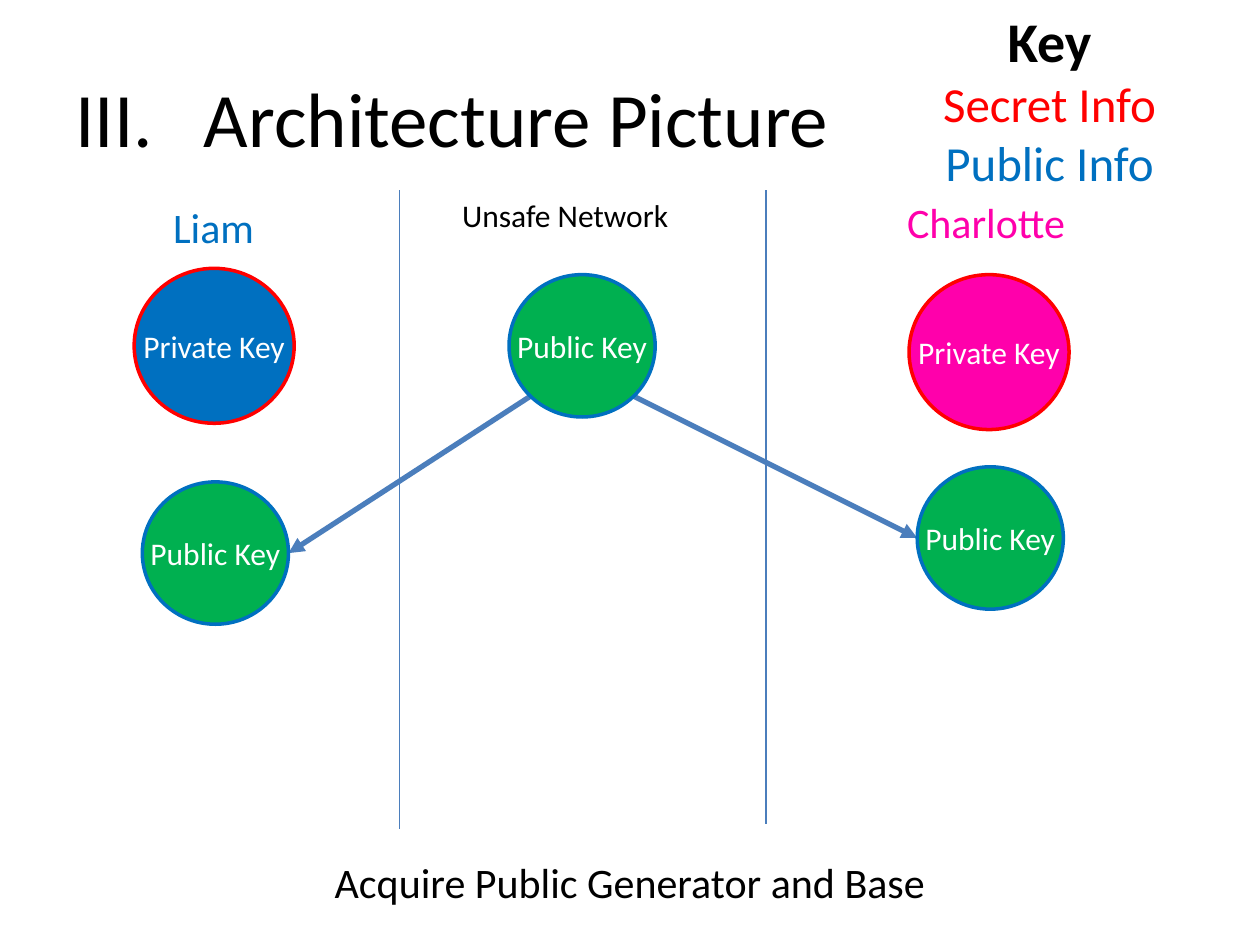
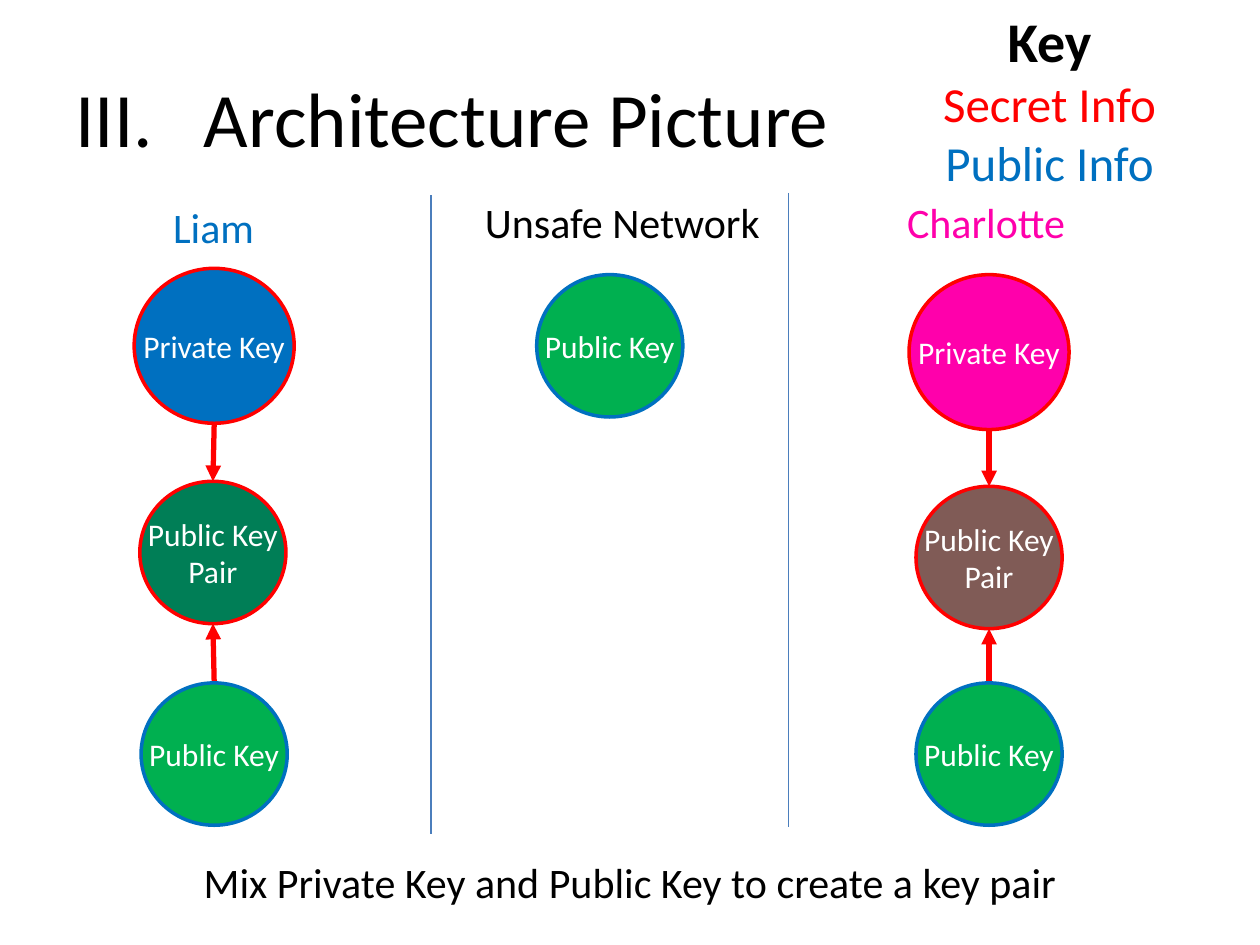
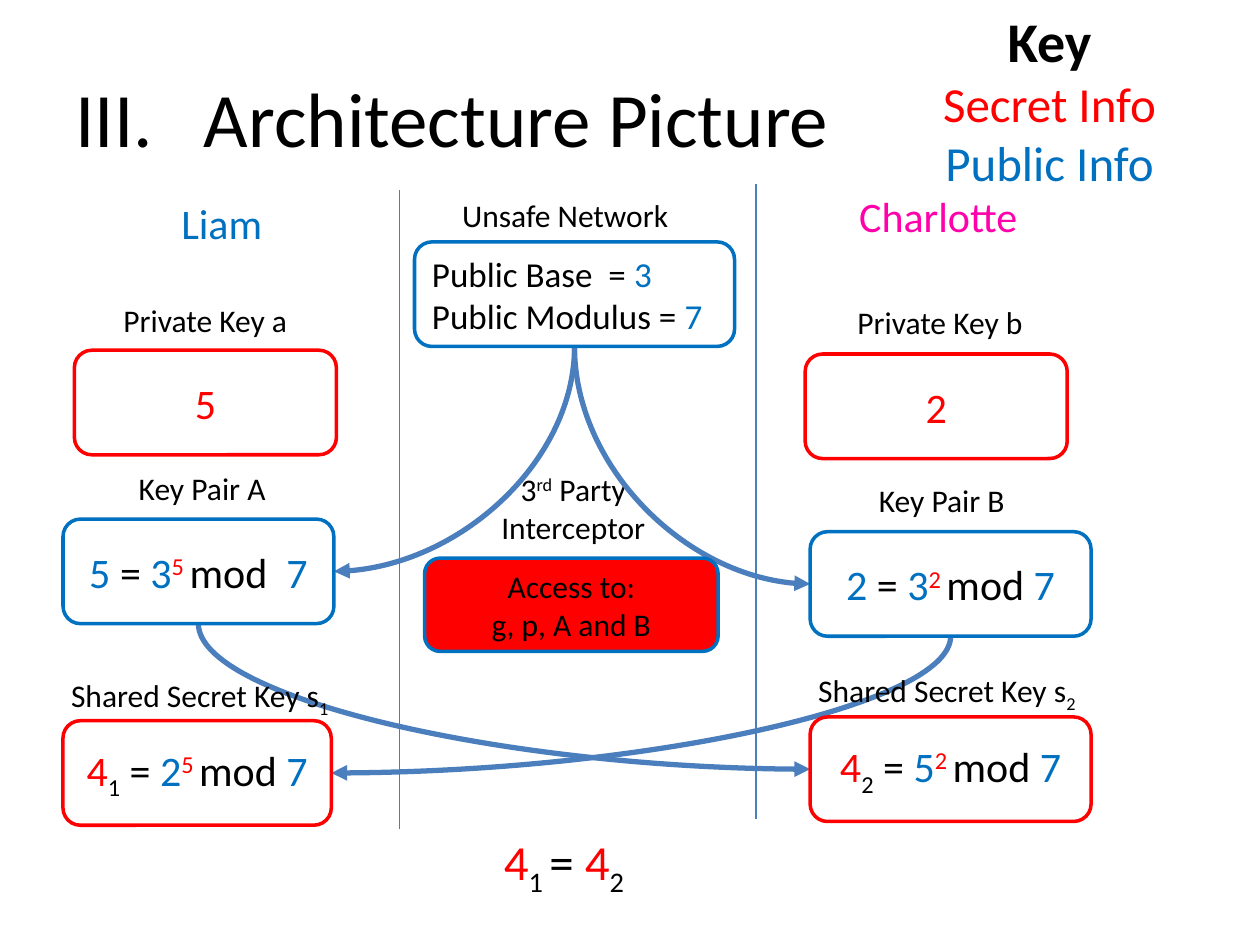
from pptx import Presentation
from pptx.util import Inches, Pt
from pptx.dml.color import RGBColor
from pptx.enum.shapes import MSO_SHAPE as SHAPE, MSO_CONNECTOR as CONN
from pptx.enum.text import PP_ALIGN as ALIGN, MSO_ANCHOR as ANCHOR, MSO_AUTO_SIZE as FIT
from pptx.oxml.ns import qn
from lxml.etree import SubElement

# ---- Shared style ----
W, H = 10, 7.5
FONT = "Calibri"
C = dict(black="000000", white="FFFFFF", red="FF0000", blue="0070C0", pink="FF00AB",
         green="00B050", teal="007E56", brown="805B56", line="4B7EBC")
TITLE = "III.\tArchitecture Picture"
LEGEND = [("Key", 32, "black", True), ("Secret Info", 28, "red", False),
          ("Public Info", 28, "blue", False)]
SUP, SUB = 30, -25
BIG, SMALL = (1.27, 1.23), (1.16, 1.13)      # circle sizes
LIAM, CHARLOTTE = 1.7, 7.85                  # centres of the outer columns
ROW = 2.745                                  # centre of the top row of circles

# Points on a shape, as shares of its width and height
TOP, BOTTOM, LEFT, RIGHT = (.5, 0), (.5, 1), (0, .5), (1, .5)
LOW_LEFT, LOW_RIGHT = (.146, .854), (.854, .854)

# ---- Content ----
# A paragraph is a string or a list of runs: (text, colour, baseline).
# labels: paragraph, left, top, width, height, size, colour, centred
NAMES = [("Liam", 1.07, 1.55, 1.25, .5, 24, "blue", True),
         ("Charlotte", 7.1, 1.51, 1.48, .5, 24, "pink", False)]
NETWORK = ("Unsafe Network", 3.57, 1.51, 1.96, .41, 18, "black", False)

# circles: name -> lines, centre x, centre y, size, fill, outline
PRIVATE = {
    "private L": (["Private Key"], LIAM, ROW, BIG, "blue", "red"),
    "private C": (["Private Key"], CHARLOTTE, ROW + .05, BIG, "pink", "red"),
}


def public(x, y):
    return ["Public Key"], x, y, SMALL, "green", "blue"


def pair(x, y, fill):
    return ["Public Key", "Pair"], x, y, SMALL, fill, "red"


def power(result, index, base, exponent, gap=" "):
    """Runs of: result = base^exponent mod 7."""
    start = ([(result, "red"), (index, "black", SUB), (" = ", "black")] if index
             else [(result + " ", "blue"), ("= ", "black")])
    return start + [(base, "blue"), (exponent + " ", "red", SUP),
                    ("mod" + gap, "black"), ("7", "blue")]


def shared(index):
    return [("Shared Secret Key s", "black"), (index, "black", SUB)]


ACQUIRE = dict(
    labels=NAMES + [NETWORK, ("Acquire Public Generator and Base",
                              2.5, 6.75, 5, .5, 24, "black", True)],
    dividers=[(3.17, 1.51, 6.58), (6.08, 1.51, 6.54)],
    circles=PRIVATE | {"public": public(4.62, ROW), "public L": public(LIAM + .01, 4.39),
                       "public C": public(CHARLOTTE + .01, 4.27)},
    links=[("public", LOW_RIGHT, "public C", LEFT, "line"),
           ("public", LOW_LEFT, "public L", RIGHT, "line")])

MIX = dict(
    labels=NAMES + [("Unsafe Network", 3.75, 1.51, 2.51, .5, 24, "black", False),
                    ("Mix Private Key and Public Key to create a key pair",
                     1.46, 6.75, 7.08, .5, 24, "black", True)],
    dividers=[(3.42, 1.55, 6.62), (6.26, 1.53, 6.56)],
    circles=PRIVATE | {"public": public(4.84, ROW),
                       "public L": public(LIAM, 5.985), "public C": public(CHARLOTTE, 5.985),
                       "pair L": pair(LIAM - .01, 4.385, "teal"),
                       "pair C": pair(CHARLOTTE, 4.425, "brown")},
    links=[link for side in "LC" for link in (
        (f"private {side}", BOTTOM, f"pair {side}", TOP, "red"),
        (f"public {side}", TOP, f"pair {side}", BOTTOM, "red"))])

# boxes: name -> paragraphs, left, top, width, height, size, fill, outline, centred
BOX_H = .83
EXAMPLE = dict(
    labels=[("Liam", 1.34, 1.52, .92, .5, 24, "blue", False),
            ("Charlotte", 6.72, 1.46, 1.59, .5, 24, "pink", False), NETWORK,
            ([("3", "black"), ("rd", "black", SUP), (" Party Interceptor", "black")],
             3.81, 3.68, 1.48, .71, 18, "black", True),
            ([("4", "red"), ("1 ", "black", SUB), ("= ", "black"), ("4", "red"),
              ("2", "black", SUB)], 3.9, 6.55, 1.39, .57, 28, "black", False)],
    dividers=[(3.17, 1.51, 6.58), (6, 1.46, 6.5)],
    boxes={
        "base": ([[("Public Base  = ", "black"), ("3", "blue")],
                  [("Public Modulus = ", "black"), ("7", "blue")]],
                 3.29, 1.92, 2.54, BOX_H, 20, "white", "blue", False),
        "spy": (["Access to:", "g, p, A and B"],
                3.37, 4.43, 2.33, .74, 18, "red", "blue", True),
        "a": ([[("5", "red")]], .59, 2.78, 2.08, BOX_H, 24, "white", "red", True),
        "b": ([[("2", "red")]], 6.39, 2.81, 2.08, BOX_H, 24, "white", "red", True),
        "A": ([power("5", "", "3", "5", "  ")], .5, 4.12, 2.15, BOX_H, 24, "white", "blue", True),
        "B": ([power("2", "", "3", "2")], 6.43, 4.22, 2.23, BOX_H, 24, "white", "blue", True),
        "s1": ([power("4", "1", "2", "5")], .5, 5.72, 2.13, BOX_H, 24, "white", "red", True),
        "s2": ([power("4", "2", "5", "2")], 6.43, 5.69, 2.23, BOX_H, 24, "white", "red", True),
    },
    # captions: box, paragraph, shift from the box's centre, rise above its top, width
    captions=[("a", "Private Key a", 0, .44, 1.5), ("b", "Private Key b", .03, .45, 1.58),
              ("A", "Key Pair A", .03, .45, 1.5), ("B", "Key Pair B", -.07, .45, 1.5),
              ("s1", shared("1"), .02, .4, 2.29), ("s2", shared("2"), -.03, .41, 2.29)],
    curves=[("base", "B", LEFT), ("base", "A", RIGHT), ("A", "s2", LEFT), ("B", "s1", RIGHT)])


# ---- Helpers ----
def rgb(name):
    return RGBColor.from_string(C[name])


def write(tf, paragraphs, size, colour="black", centred=False):
    for i, content in enumerate(paragraphs):
        p = tf.paragraphs[0] if i == 0 else tf.add_paragraph()
        p.alignment = ALIGN.CENTER if centred else ALIGN.LEFT
        p.font.name, p.font.size = FONT, Pt(size)
        if isinstance(content, str):
            content = [(content, colour)]
        for text, shade, *base in content:
            r = p.add_run()
            r.text = text
            r.font.color.rgb = rgb(shade)
            if base:
                r.font._element.set("baseline", str(base[0] * 1000))


def text_box(s, x, y, w, h):
    tf = s.shapes.add_textbox(*map(Inches, (x, y, w, h))).text_frame
    tf.word_wrap = True
    return tf


def add_label(s, content, x, y, w, h, size, colour, centred):
    tf = text_box(s, x, y, w, h)
    tf.auto_size = FIT.SHAPE_TO_FIT_TEXT
    write(tf, [content], size, colour, centred)


def add_node(s, kind, box, fill, outline):
    sp = s.shapes.add_shape(kind, *map(Inches, box))
    sp.shadow.inherit = False
    sp.fill.solid()
    sp.fill.fore_color.rgb = rgb(fill)
    sp.line.color.rgb, sp.line.width = rgb(outline), Pt(2)
    sp.text_frame.vertical_anchor = ANCHOR.MIDDLE
    return sp.text_frame


def add_line(s, start, end, colour="line", width=3, arrow=True, kind=CONN.STRAIGHT):
    c = s.shapes.add_connector(kind, *map(Inches, (*start, *end)))
    c.line.color.rgb, c.line.width = rgb(colour), Pt(width)
    if arrow:
        SubElement(c.line._get_or_add_ln(), qn("a:tailEnd"), type="triangle")
    SubElement(c._element.spPr, qn("a:effectLst"))
    return c


def add_curve(s, start, end):
    """Quarter curve that leaves downwards and arrives sideways."""
    (x1, y1), (x2, y2) = start, end
    w, h = y2 - y1, abs(x2 - x1)             # size before the quarter turn
    x, y = (x1 + x2 - w) / 2, (y1 + y2 - h) / 2
    c = add_line(s, (x, y), (x + w, y + h), kind=CONN.CURVE)
    spPr = c._element.spPr
    spPr.find(qn("a:prstGeom")).set("prst", "curvedConnector2")
    xfrm = spPr.find(qn("a:xfrm"))
    xfrm.set("rot", str((270 if x2 > x1 else 90) * 60000))
    if x2 > x1:
        xfrm.set("flipH", "1")


def point(box, share):
    x, y, w, h = box
    return x + w * share[0], y + h * share[1]


def add_title_and_legend(s):
    tf = text_box(s, W * .05, H * .04, W * .9, H / 6)
    tf.vertical_anchor = ANCHOR.MIDDLE
    write(tf, [TITLE], 44)
    pPr = tf.paragraphs[0]._p.get_or_add_pPr()
    pPr.set("marL", str(Inches(1.02)))       # hanging indent after the numeral
    pPr.set("indent", str(-Inches(1.02)))
    tf = text_box(s, 7.18, 0, 2.3, 1.58)
    for i, (text, size, colour, bold) in enumerate(LEGEND):
        p = tf.paragraphs[0] if i == 0 else tf.add_paragraph()
        p.text, p.alignment = text, ALIGN.CENTER
        p.font.name, p.font.size, p.font.bold = FONT, Pt(size), bold
        p.font.color.rgb = rgb(colour)


# ---- Build ----
prs = Presentation()
prs.slide_width, prs.slide_height = Inches(W), Inches(H)

for content in (ACQUIRE, MIX, EXAMPLE):
    s = prs.slides.add_slide(prs.slide_layouts[6])
    add_title_and_legend(s)
    for label in content["labels"]:
        add_label(s, *label)
    for x, top, bottom in content["dividers"]:
        add_line(s, (x, top), (x, bottom), width=.75, arrow=False)

    # Circles and the straight arrows between them
    circles = content.get("circles", {})
    places = {name: (x - w / 2, y - h / 2, w, h)
              for name, (_, x, y, (w, h), *_) in circles.items()}
    for a, a_side, b, b_side, colour in content.get("links", []):
        add_line(s, point(places[a], a_side), point(places[b], b_side), colour)
    for name, (lines, _, _, _, fill, outline) in circles.items():
        tf = add_node(s, SHAPE.FLOWCHART_CONNECTOR, places[name], fill, outline)
        tf.word_wrap = False
        write(tf, lines, 18, "white", True)

    # Boxes, the curves between them and their captions
    boxes = content.get("boxes", {})
    for a, b, side in content.get("curves", []):
        add_curve(s, point(boxes[a][1:5], BOTTOM), point(boxes[b][1:5], side))
    for lines, x, y, w, h, size, fill, outline, centred in boxes.values():
        tf = add_node(s, SHAPE.ROUNDED_RECTANGLE, (x, y, w, h), fill, outline)
        write(tf, lines, size, "black", centred)
    for name, text, shift, rise, width in content.get("captions", []):
        x, y = point(boxes[name][1:5], TOP)
        add_label(s, text, x + shift - width / 2, y - rise, width, .4, 18, "black", True)

prs.save("out.pptx")
